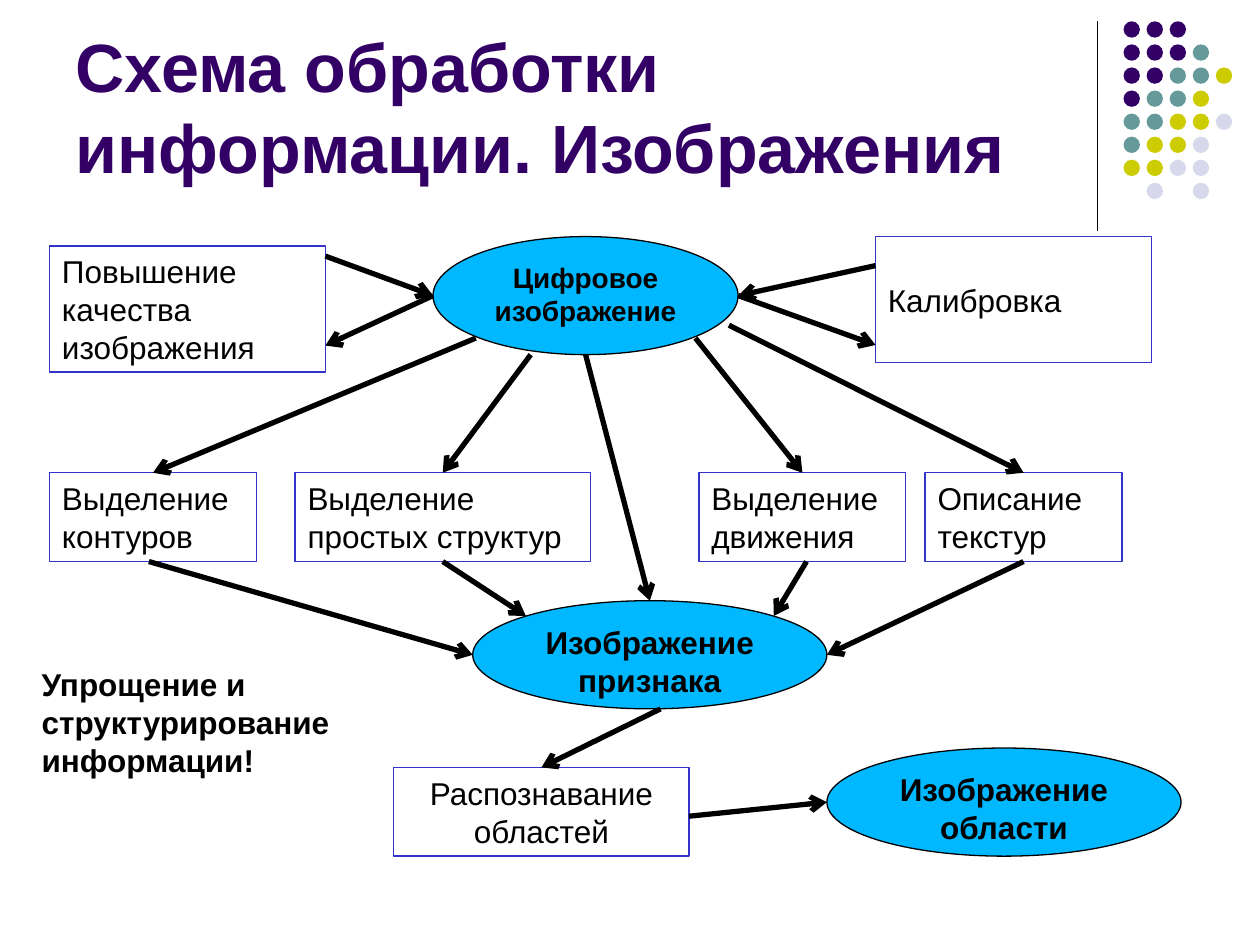
from lxml.etree import SubElement
from pptx import Presentation
from pptx.dml.color import RGBColor
from pptx.enum.shapes import MSO_CONNECTOR, MSO_SHAPE
from pptx.enum.text import MSO_ANCHOR, MSO_AUTO_SIZE, PP_ALIGN
from pptx.oxml.ns import qn
from pptx.util import Cm, Pt

COLORS = {
    "title": "330066",
    "text": "000000",
    "arrow": "000000",
    "step_line": "3333CC",
    "image_fill": "00B8FF",
    "P": "330066",
    "T": "669999",
    "Y": "CCCC00",
    "L": "D8D8EC",
}
DOT_ROWS = ["PPP", "PPPT", "PPTTY", "PTTY", "TTYYL", "TYYL", "YYLL", " L L"]

# name: (text, left, top, width, height) in cm
STEPS = {
    "quality": ("Повышение качества изображения", 1, 4.96, 5.56, 2.54),
    "calibration": ("Калибровка", 17.65, 4.77, 5.56, 2.54),
    "contours": ("Выделение контуров", 1, 9.53, 4.17, 1.79),
    "structures": ("Выделение простых структур", 5.95, 9.53, 5.95, 1.79),
    "motion": ("Выделение движения", 14.09, 9.53, 4.17, 1.79),
    "textures": ("Описание текстур", 18.65, 9.53, 3.97, 1.79),
    "recognition": ("Распознавание областей", 7.94, 15.47, 5.95, 1.79),
}
IMAGES = {
    "digital": ("Цифровое изображение", 8.73, 4.77, 6.15, 2.38),
    "feature": ("Изображение признака", 9.53, 12.11, 7.14, 2.18),
    "region": ("Изображение области", 16.67, 15.08, 7.14, 2.18),
}
# (name, x share, y share) of the start box, then of the end box
LINKS = [
    (("quality", 1, 0.08), ("digital", 0, 0.5)),
    (("digital", 0, 0.5), ("quality", 1, 0.79)),
    (("calibration", 0, 0.23), ("digital", 1, 0.5)),
    (("digital", 1, 0.5), ("calibration", 0, 0.86)),
    (("digital", 0.14, 0.86), ("contours", 0.5, 0)),
    (("digital", 0.32, 1), ("structures", 0.5, 0)),
    (("digital", 0.5, 1), ("feature", 0.5, 0)),
    (("digital", 0.86, 0.86), ("motion", 0.5, 0)),
    (("digital", 0.97, 0.75), ("textures", 0.5, 0)),
    (("contours", 0.48, 1), ("feature", 0, 0.5)),
    (("structures", 0.5, 1), ("feature", 0.15, 0.14)),
    (("motion", 0.52, 1), ("feature", 0.85, 0.14)),
    (("textures", 0.5, 1), ("feature", 1, 0.5)),
    (("feature", 0.53, 1), ("recognition", 0.5, 0)),
    (("recognition", 1, 0.55), ("region", 0, 0.5)),
]


def color(name):
    return RGBColor.from_string(COLORS[name])


def write(shape, text, size=18, bold=False, align=PP_ALIGN.LEFT,
          anchor=MSO_ANCHOR.TOP, ink="text"):
    frame = shape.text_frame
    frame.word_wrap = True
    frame.auto_size = MSO_AUTO_SIZE.NONE
    frame.vertical_anchor = anchor
    paragraph = frame.paragraphs[0]
    paragraph.text = text
    paragraph.alignment = align
    font = paragraph.font
    font.name, font.size, font.bold = "Arial", Pt(size), bold
    font.color.rgb = color(ink)


def add_outline(slide, kind, box, line, fill=None):
    shape = slide.shapes.add_shape(kind, *map(Cm, box))
    shape.shadow.inherit = False
    if fill:
        shape.fill.solid()
        shape.fill.fore_color.rgb = color(fill)
    else:
        shape.fill.background()
    if line:
        shape.line.color.rgb = color(line)
        shape.line.width = Pt(0.75)
    else:
        shape.line.fill.background()
    return shape


def add_line(slide, start, end, width, arrow=False):
    line = slide.shapes.add_connector(
        MSO_CONNECTOR.STRAIGHT, *map(Cm, (*start, *end)))
    line.line.color.rgb = color("arrow")
    line.line.width = Pt(width)
    if arrow:
        SubElement(line.line._get_or_add_ln(), qn("a:tailEnd"), type="arrow")
    SubElement(line._element.spPr, qn("a:effectLst"))


def add_corner(slide, left, top):
    """Vertical rule with the pattern of coloured dots to its right."""
    add_line(slide, (left, top), (left, top + 4.22), 0.75)
    pitch, dot = 0.465, 0.33
    for row, codes in enumerate(DOT_ROWS):
        for column, code in enumerate(codes):
            if code != " ":
                box = (left + 0.53 + column * pitch, top + row * pitch, dot, dot)
                add_outline(slide, MSO_SHAPE.OVAL, box, None, code)


def add_title(slide, left, top, width, height):
    title = slide.shapes.title
    title.left, title.top = Cm(left), Cm(top)
    title.width, title.height = Cm(width), Cm(height)
    write(title, "Схема обработки информации. Изображения", 39, True,
          anchor=MSO_ANCHOR.BOTTOM, ink="title")


def add_scheme(slide):
    """Processing steps, images and the arrows between them."""
    for name, (text, *box) in STEPS.items():
        step = add_outline(slide, MSO_SHAPE.RECTANGLE, box, "step_line")
        align = PP_ALIGN.CENTER if name == "recognition" else PP_ALIGN.LEFT
        write(step, text, align=align, anchor=MSO_ANCHOR.MIDDLE)
    for name, (text, *box) in IMAGES.items():
        image = add_outline(slide, MSO_SHAPE.OVAL, box, "text", "image_fill")
        size = 16 if name == "digital" else 18
        write(image, text, size, True, PP_ALIGN.CENTER)

    nodes = STEPS | IMAGES

    def point(name, across, down):
        _, left, top, width, height = nodes[name]
        return left + across * width, top + down * height

    for start, end in LINKS:
        add_line(slide, point(*start), point(*end), 3, arrow=True)


def add_note(slide, *box):
    note = slide.shapes.add_textbox(*map(Cm, box))
    write(note, "Упрощение и структурирование информации!", bold=True)


def main():
    deck = Presentation()
    deck.slide_width, deck.slide_height = Cm(25.4), Cm(19.05)
    slide = deck.slides.add_slide(deck.slide_layouts[5])
    add_corner(slide, 22.12, 0.43)
    add_title(slide, 1.27, 0.33, 20.96, 3.58)
    add_scheme(slide)
    add_note(slide, 0.59, 13.29, 6.93, 2.54)
    deck.save("out.pptx")


if __name__ == "__main__":
    main()
